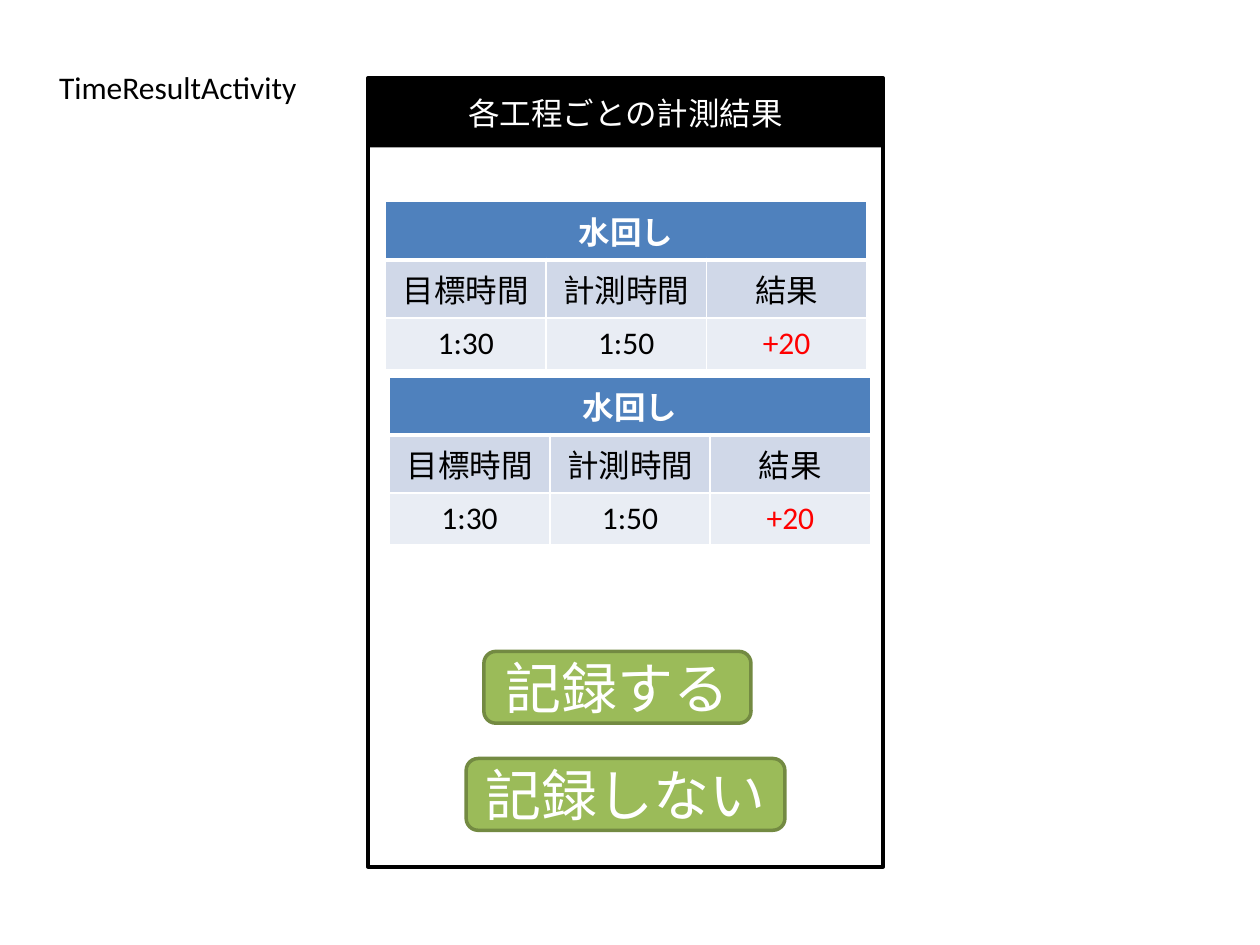
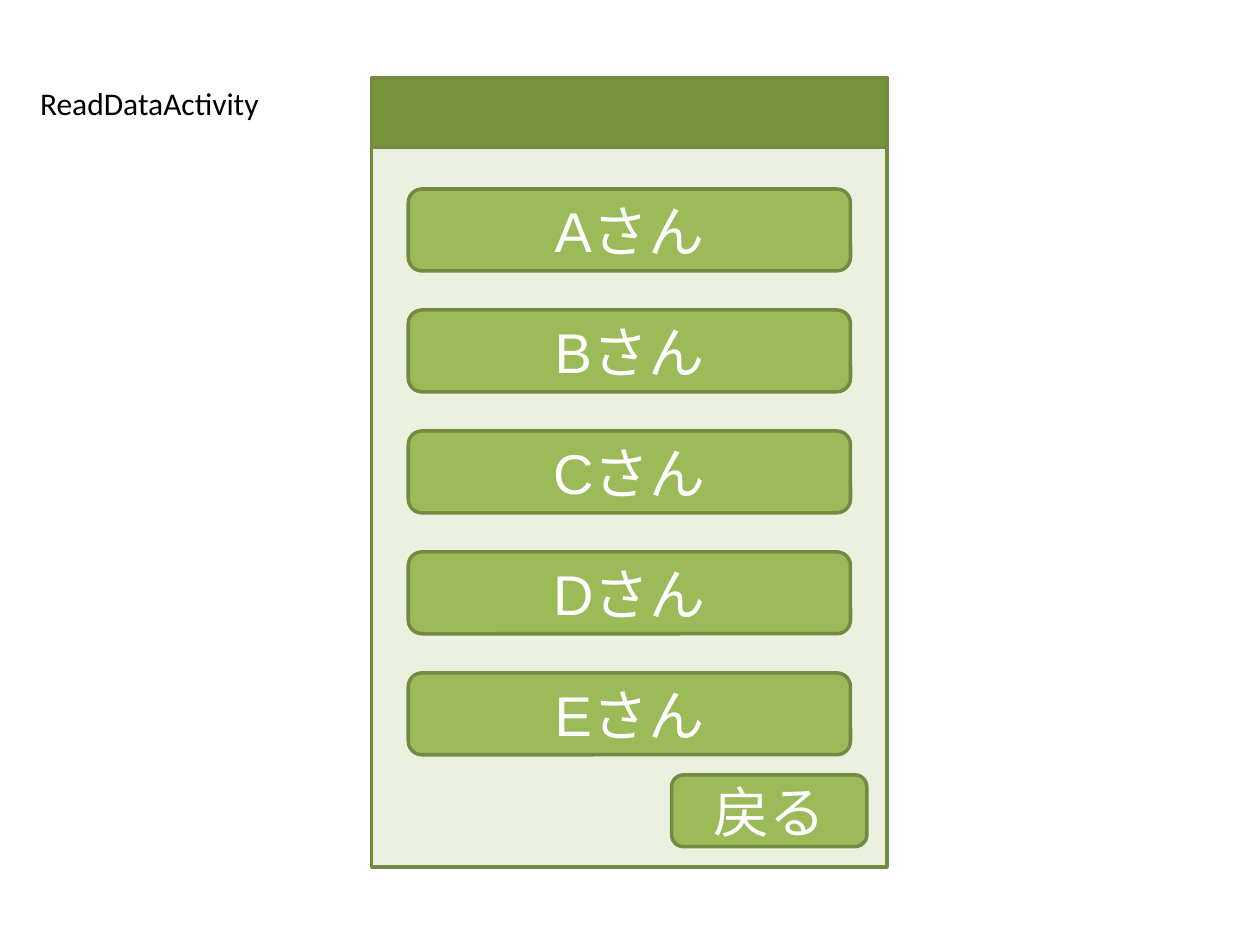
from dataclasses import dataclass

from lxml.etree import SubElement
from pptx import Presentation
from pptx.dml.color import RGBColor
from pptx.enum.shapes import MSO_SHAPE as Shape
from pptx.enum.text import MSO_ANCHOR as Anchor, PP_ALIGN as Align
from pptx.oxml.ns import qn
from pptx.util import Emu, Pt

PX = 9144


@dataclass(frozen=True)
class Theme:
    """Colours, fonts and type sizes shared by the slides."""

    white: str = "FFFFFF"
    black: str = "000000"
    red: str = "FF0000"
    green: str = "9BBB59"
    green_line: str = "738A42"
    green_band: str = "77933C"
    green_pale: str = "EBF1DE"
    table_head: str = "4F81BD"
    table_rows: tuple = ("D0D8E8", "E9EDF4")
    body_font: str = "Calibri"
    button_font: str = "Arial"
    body_size: int = 18
    button_size: int = 32
    line_width: int = 2


THEME = Theme()


@dataclass(frozen=True)
class Box:
    """A rectangle in px, at 100 px to the inch."""

    left: int
    top: int
    width: int
    height: int

    def inner(self, left, top, width, height):
        """Return a box placed relative to this one."""
        return Box(self.left + left, self.top + top, width, height)

    def emu(self):
        """Return left, top, width and height in EMU."""
        return [Emu(n * PX) for n in (self.left, self.top, self.width, self.height)]


def write_text(frame, text, size=THEME.body_size, font=THEME.body_font,
               color=THEME.black, bold=False, align=Align.CENTER):
    """Write one formatted paragraph into a text frame."""
    paragraph = frame.paragraphs[0]
    paragraph.alignment = align
    run = paragraph.add_run()
    run.text = text
    run.font.size = Pt(size)
    run.font.name = font
    run.font.bold = bold
    run.font.color.rgb = RGBColor.from_string(color)


def add_panel(slide, box, fill, line=None, kind=Shape.RECTANGLE):
    """Add a filled shape, outlined if a line colour is given."""
    shape = slide.shapes.add_shape(kind, *box.emu())
    shape.shadow.inherit = False
    shape.fill.solid()
    shape.fill.fore_color.rgb = RGBColor.from_string(fill)
    if line:
        shape.line.color.rgb = RGBColor.from_string(line)
        shape.line.width = Pt(THEME.line_width)
    else:
        shape.line.fill.background()
    shape.text_frame.vertical_anchor = Anchor.MIDDLE
    return shape


def add_button(slide, box, text):
    """Add a rounded green button."""
    button = add_panel(slide, box, THEME.green, THEME.green_line, Shape.ROUNDED_RECTANGLE)
    write_text(button.text_frame, text, size=THEME.button_size,
               font=THEME.button_font, color=THEME.white)


def add_activity_name(slide, box, text):
    """Add the name of the screen beside the phone."""
    frame = slide.shapes.add_textbox(*box.emu()).text_frame
    frame.word_wrap = True
    write_text(frame, text, align=Align.LEFT)


def add_phone(slide, box, fill, line, band_fill, band_line=None, title=None):
    """Add the phone screen with its title band."""
    add_panel(slide, box, fill, line)
    band = add_panel(slide, box.inner(0, 0, box.width, 55), band_fill, band_line)
    if title:
        write_text(band.text_frame, title, color=THEME.white)


def style_cell(cell, fill, top=1, bottom=1):
    """Fill a cell and give it white borders, widths in points."""
    cell.fill.solid()
    cell.fill.fore_color.rgb = RGBColor.from_string(fill)
    properties = cell._tc.get_or_add_tcPr()
    widths = {"a:lnL": 1, "a:lnR": 1, "a:lnT": top, "a:lnB": bottom}
    for index, (tag, width) in enumerate(widths.items()):
        border = SubElement(properties, qn(tag), w=str(Pt(width)))
        SubElement(SubElement(border, qn("a:solidFill")), qn("a:srgbClr"), val=THEME.white)
        properties.insert(index, border)


def add_time_table(slide, box, process, labels, values):
    """Add the target, measured and difference times of one process."""
    rows = (labels, values)
    table = slide.shapes.add_table(len(rows) + 1, len(labels), *box.emu()).table
    table.first_row = table.horz_banding = False
    for cell in table.rows[0].cells:
        style_cell(cell, THEME.table_head, bottom=3)
    table.cell(0, 0).merge(table.cell(0, len(labels) - 1))
    write_text(table.cell(0, 0).text_frame, process, color=THEME.white, bold=True)
    for row, (texts, fill) in enumerate(zip(rows, THEME.table_rows), start=1):
        for column, text in enumerate(texts):
            cell = table.cell(row, column)
            style_cell(cell, fill, top=3 if row == 1 else 1)
            color = THEME.red if text.startswith("+") else THEME.black
            write_text(cell.text_frame, text, color=color)


def build_time_result(slide, phone):
    """Build the screen with the measured times."""
    add_phone(slide, phone, THEME.white, THEME.black, THEME.black, title="各工程ごとの計測結果")
    for left, top in ((14, 98), (17, 237)):
        add_time_table(slide, phone.inner(left, top, 382, 122), "水回し",
                       ("目標時間", "計測時間", "結果"), ("1:30", "1:50", "+20"))
    add_button(slide, phone.inner(92, 455, 212, 57), "記録する")
    add_button(slide, phone.inner(78, 540, 253, 57), "記録しない")
    add_activity_name(slide, Box(37, 49, 238, 40), "TimeResultActivity")


def build_read_data(slide, phone):
    """Build the screen with the list of people."""
    add_activity_name(slide, Box(22, 62, 236, 40), "ReadDataActivity")
    add_phone(slide, phone, THEME.green_pale, THEME.green_line,
              THEME.green_band, THEME.green_line)
    add_button(slide, phone.inner(238, 553, 155, 57), "戻る")
    for index, person in enumerate("ABCDE"):
        add_button(slide, phone.inner(29, 88 + 96 * index, 351, 65), f"{person}さん")


def main():
    """Build and save the presentation."""
    presentation = Presentation()
    presentation.slide_width, presentation.slide_height = Emu(1000 * PX), Emu(750 * PX)
    blank = presentation.slide_layouts[6]
    for build, left in ((build_time_result, 292), (build_read_data, 295)):
        build(presentation.slides.add_slide(blank), Box(left, 62, 409, 626))
    presentation.save("out.pptx")


if __name__ == "__main__":
    main()
